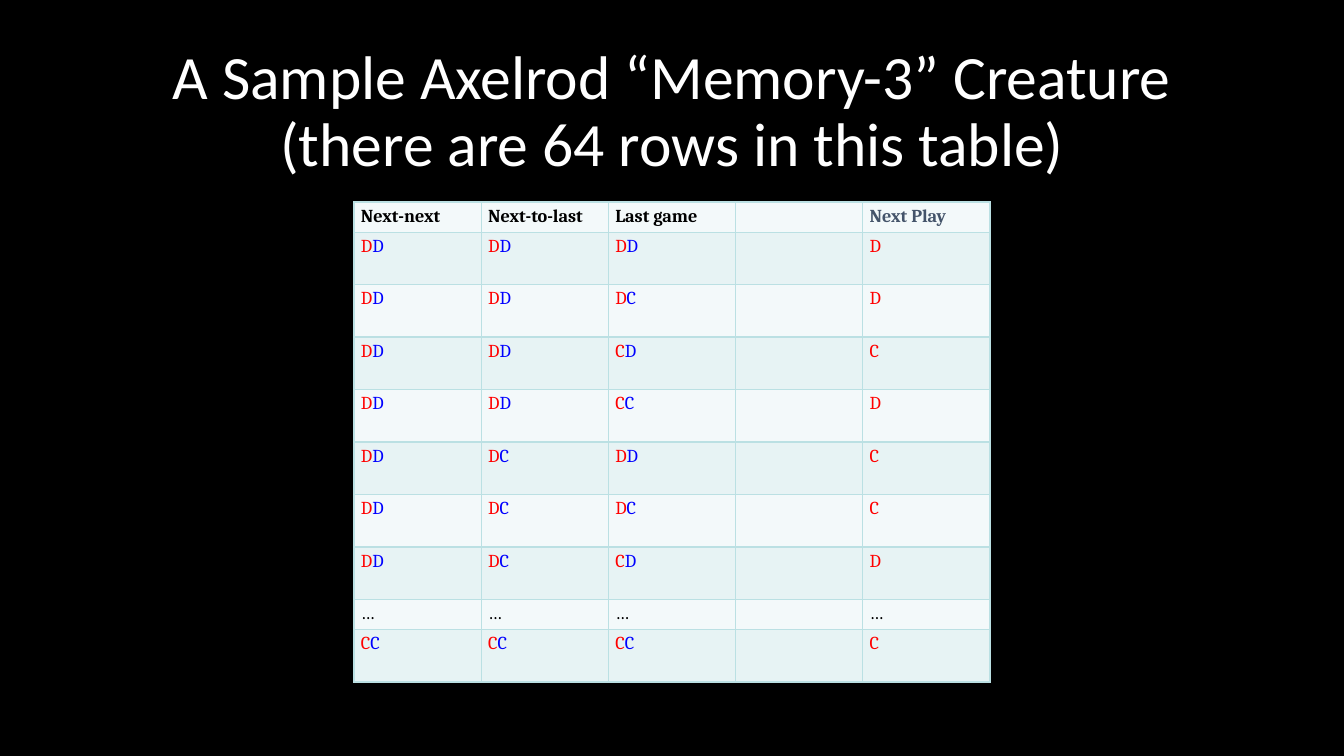
from lxml.etree import SubElement
from pptx import Presentation
from pptx.dml.color import RGBColor
from pptx.enum.text import MSO_ANCHOR, MSO_AUTO_SIZE, PP_ALIGN
from pptx.oxml.ns import qn
from pptx.util import Emu, Pt

BLACK = RGBColor(0, 0, 0)
WHITE = RGBColor(255, 255, 255)
SLATE = RGBColor(0x44, 0x54, 0x6A)
RED = RGBColor(255, 0, 0)
BLUE = RGBColor(0, 0, 255)
PALE = RGBColor(0xF3, 0xF9, 0xFA)
TINT = RGBColor(0xE7, 0xF3, 0xF4)
GRID = RGBColor(0xBB, 0xE0, 0xE3)


def px(length):
    return Emu(round(length * 914400 / 100.8))


def add_borders(cell):
    properties = cell._tc.get_or_add_tcPr()
    for side in ("lnL", "lnR", "lnT", "lnB"):
        line = SubElement(properties, qn(f"a:{side}"), w=str(Pt(1)))
        solid = SubElement(line, qn("a:solidFill"))
        SubElement(solid, qn("a:srgbClr"), val=str(GRID))


prs = Presentation()
prs.slide_width, prs.slide_height = px(1344), px(756)
slide = prs.slides.add_slide(prs.slide_layouts[5])
slide.background.fill.solid()
slide.background.fill.fore_color.rgb = BLACK

title = slide.shapes.title
title.left, title.top, title.width, title.height = px(93), px(40), px(1159), px(146)
heading = title.text_frame
heading.text = "A Sample Axelrod “Memory-3” Creature\v(there are 64 rows in this table)"
heading.word_wrap = True
heading.auto_size = MSO_AUTO_SIZE.NONE
heading.vertical_anchor = MSO_ANCHOR.MIDDLE
heading.paragraphs[0].alignment = PP_ALIGN.CENTER
heading.paragraphs[0].line_spacing = 0.9
for run in heading.paragraphs[0].runs:
    run.font.name = "Calibri"
    run.font.size = Pt(44)
    run.font.color.rgb = WHITE

strategy = [
    ("Next-next", "Next-to-last", "Last game", "", "Next Play"),
    ("DD", "DD", "DD", "", "D"),
    ("DD", "DD", "DC", "", "D"),
    ("DD", "DD", "CD", "", "C"),
    ("DD", "DD", "CC", "", "D"),
    ("DD", "DC", "DD", "", "C"),
    ("DD", "DC", "DC", "", "C"),
    ("DD", "DC", "CD", "", "D"),
    ("…", "…", "…", "", "…"),
    ("CC", "CC", "CC", "", "C"),
]
ROWS, COLUMNS = len(strategy), len(strategy[0])
WIDTH, HEIGHT, SHORT_ROW = 636, 480, 30
short_rows = (0, 8)
tall_row = (HEIGHT - SHORT_ROW * len(short_rows)) / (ROWS - len(short_rows))

table = slide.shapes.add_table(
    ROWS, COLUMNS, px(354), px(202), px(WIDTH), px(HEIGHT)
).table
table.first_row = False
table.horz_banding = False
for column in table.columns:
    column.width = px(WIDTH / COLUMNS)

for row_index, entries in enumerate(strategy):
    is_short = row_index in short_rows
    table.rows[row_index].height = px(SHORT_ROW if is_short else tall_row)
    for column_index, entry in enumerate(entries):
        cell = table.cell(row_index, column_index)
        cell.margin_left = cell.margin_right = px(7)
        cell.margin_top = cell.margin_bottom = px(4)
        add_borders(cell)
        cell.fill.solid()
        cell.fill.fore_color.rgb = TINT if row_index % 2 else PALE

        if is_short:
            pieces = [(entry, SLATE if entry == "Next Play" else BLACK)]
        else:
            pieces = zip(entry, (RED, BLUE))
        paragraph = cell.text_frame.paragraphs[0]
        if not entry:
            SubElement(paragraph._p, qn("a:endParaRPr"), sz="1300")
            continue
        for wording, colour in pieces:
            run = paragraph.add_run()
            run.text = wording
            run.font.name = "Cambria"
            run.font.size = Pt(13)
            run.font.bold = row_index == 0
            run.font.color.rgb = colour

prs.save("out.pptx")
